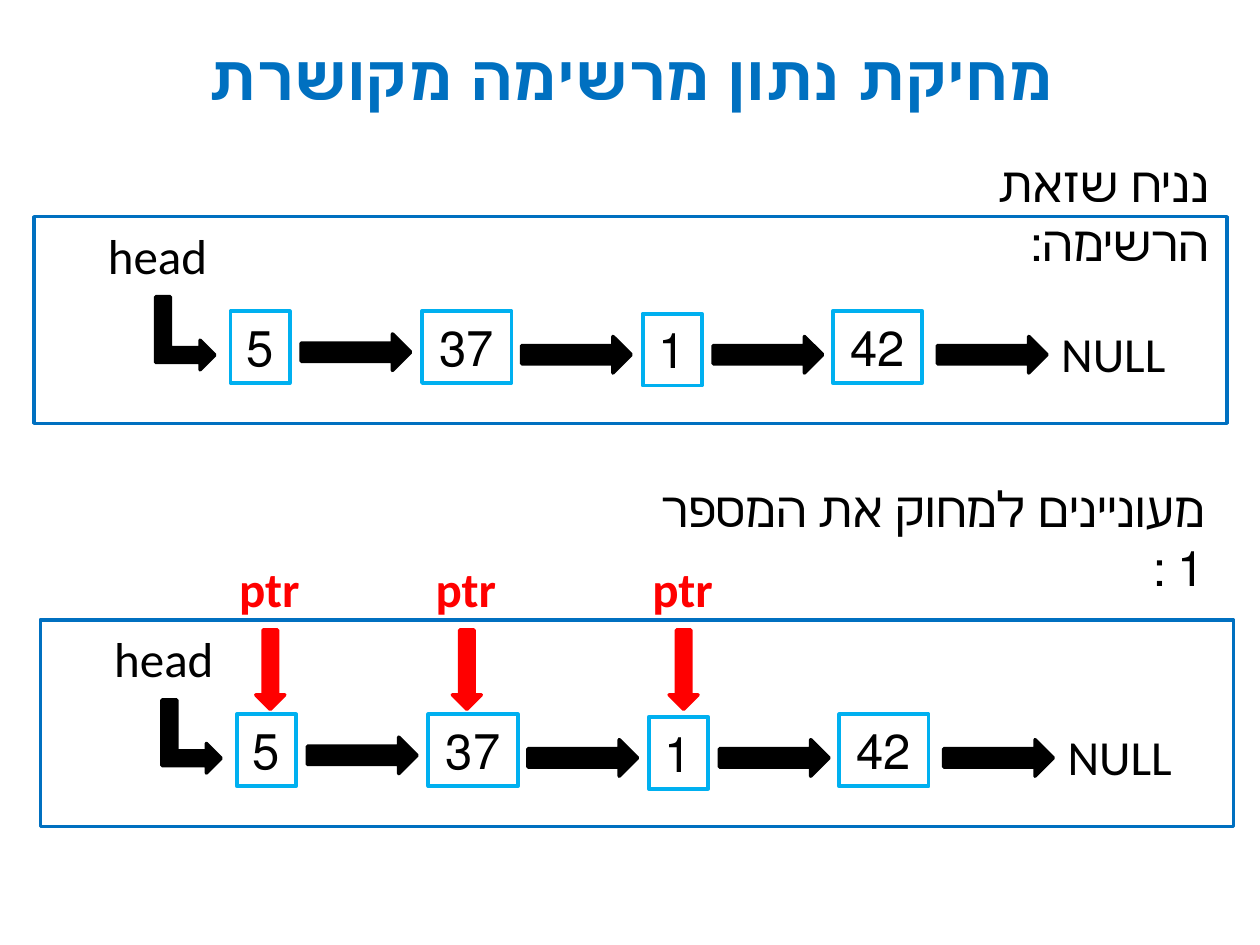
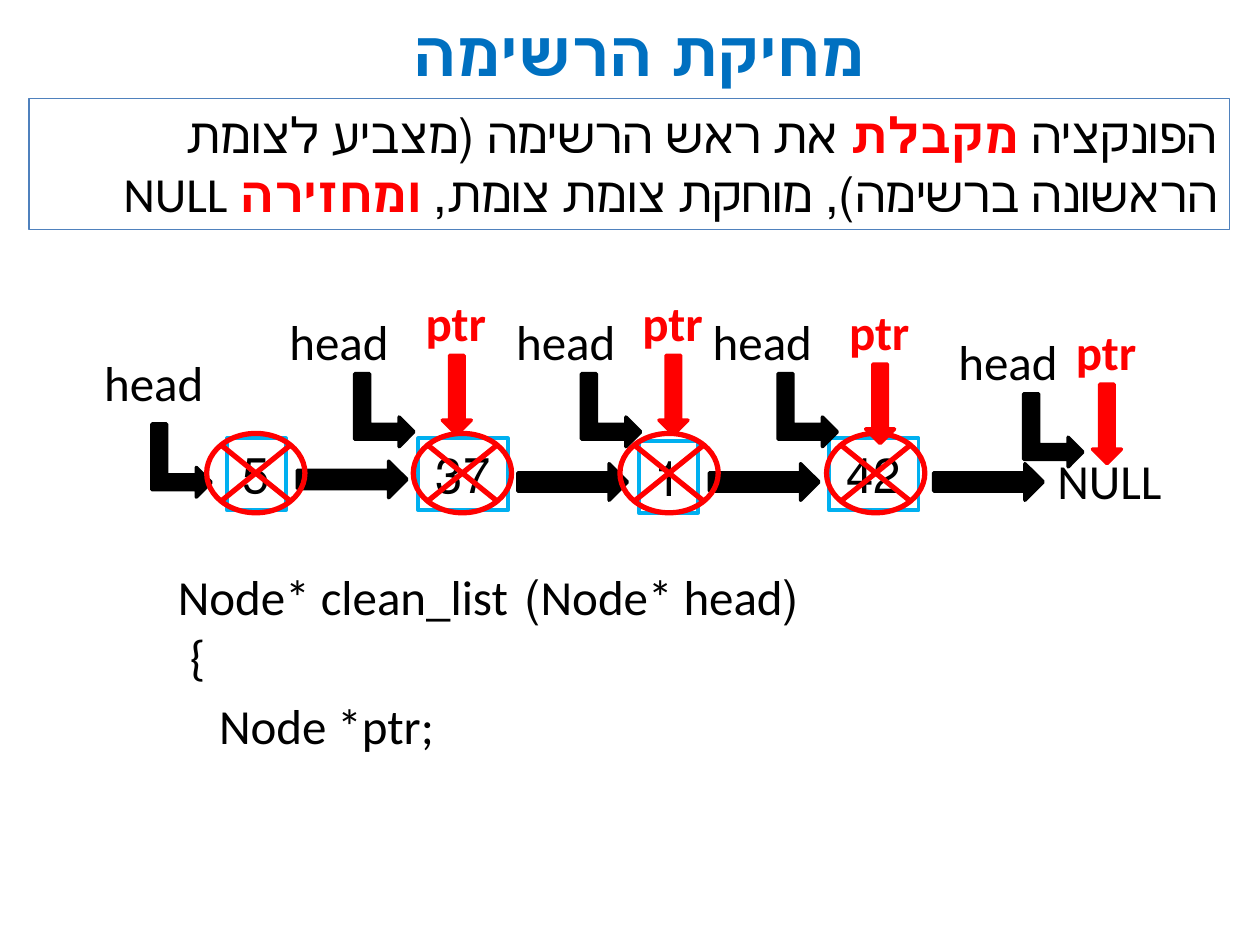
import pptx
import pptx.util
import pptx.dml.color
import pptx.enum.shapes
import pptx.enum.text
import pptx.oxml.ns
import lxml.etree
from dataclasses import dataclass

Inches = pptx.util.Inches
Pt = pptx.util.Pt
MSO = pptx.enum.shapes.MSO_SHAPE
ALIGN = pptx.enum.text.PP_ALIGN


@dataclass(frozen=True)
class Theme:
    """Colours, fonts, type sizes and line widths shared by the slides."""
    blue: str = "0070C0"
    sky: str = "00B0F0"
    steel: str = "4F81BD"
    red: str = "FF0000"
    black: str = "000000"
    title_font: str = "Arial"
    body_font: str = "Calibri"
    title_size: int = 36
    body_size: int = 28
    arrow_line: float = 2
    node_line: float = 2.25
    cross_line: float = 3


T = Theme()
ROW_H = 0.57  # height of one line of body text
# value, left, top, width of each list node
NODES = [("5", 1.83, 2.47, 0.47), ("37", 3.35, 2.47, 0.71),
         ("1", 5.1, 2.49, 0.47), ("42", 6.61, 2.47, 0.71)]
LINKS = [(2.39, 2.65), (4.14, 2.67), (5.66, 2.67), (7.44, 2.67)]


def rgb(code):
    """Turn a hex code into a colour."""
    return pptx.dml.color.RGBColor.from_string(code)


def box(left, top, width, height):
    """Convert a frame in inches to lengths."""
    return [Inches(round(v, 2)) for v in (left, top, width, height)]


def set_line(sp, color, width):
    """Give a shape a solid outline with round joins."""
    sp.line.color.rgb = rgb(color)
    sp.line.width = Pt(width)
    ln = sp._element.spPr.find(pptx.oxml.ns.qn("a:ln"))
    lxml.etree.SubElement(ln, pptx.oxml.ns.qn("a:round"))


def set_font(font, color, size=T.body_size, name=T.body_font, bold=False):
    """Set the face, size, weight and colour of a font."""
    font.name, font.size, font.bold = name, Pt(size), bold
    font.color.rgb = rgb(color)


def set_direction(p, align, rtl=True):
    """Align a paragraph and set its reading direction."""
    p.alignment = align
    if rtl:
        p._p.get_or_add_pPr().set("rtl", "1")


def add_title(s, text, top):
    """Place and format the slide title."""
    title = s.shapes.title
    title.left, title.top, title.width, title.height = box(0.91, top, 8.19, 0.81)
    title.text_frame.vertical_anchor = pptx.enum.text.MSO_ANCHOR.MIDDLE
    p = title.text_frame.paragraphs[0]
    p.text = text
    set_direction(p, ALIGN.CENTER)
    set_font(p.font, T.blue, T.title_size, T.title_font, True)


def add_text(s, text, left, top, width, height=ROW_H, align=ALIGN.CENTER,
             rtl=True, wrap=True, color=T.black, bold=False):
    """Add a one-paragraph text box and return it."""
    sp = s.shapes.add_textbox(*box(left, top, width, height))
    tf = sp.text_frame
    tf.word_wrap = wrap
    tf.auto_size = pptx.enum.text.MSO_AUTO_SIZE.SHAPE_TO_FIT_TEXT
    p = tf.paragraphs[0]
    p.text = text
    set_direction(p, align, rtl)
    set_font(p.font, color, bold=bold)
    return sp


def add_figure(s, kind, left, top, width, height, line, weight, fill=None,
               rotation=0):
    """Add a preset shape without text, filled or only outlined."""
    sp = s.shapes.add_shape(kind, *box(left, top, width, height))
    sp.shadow.inherit = False
    sp.rotation = rotation
    if fill:
        sp.fill.solid()
        sp.fill.fore_color.rgb = rgb(fill)
    else:
        sp.fill.background()
    set_line(sp, line, weight)


def add_head(s, left, top, dx=0.73, dy=0.6):
    """Add a head label and its bent arrow."""
    add_text(s, "head", left, top, 1.32)
    add_figure(s, MSO.BENT_UP_ARROW, left + dx, top + dy, 0.58, 0.47,
               T.black, T.arrow_line, T.black, 90)


def add_ptr(s, left, top, drop):
    """Add a ptr label and the red arrow below it."""
    add_text(s, "ptr", left, top, 0.7, align=ALIGN.LEFT, rtl=False,
             color=T.red, bold=True)
    add_figure(s, MSO.RIGHT_ARROW, left + 0.03, top + drop, 0.63, 0.23,
               T.red, T.arrow_line, T.red, 90)


def add_chain(s, dx, dy):
    """Draw the linked list from head to NULL, shifted by dx and dy."""
    for value, left, top, width in NODES:
        sp = add_text(s, value, left + dx, top + dy, width)
        set_line(sp, T.sky, T.node_line)
    for left, top in LINKS:
        add_figure(s, MSO.RIGHT_ARROW, left + dx, top + dy, 0.87, 0.29,
                   T.black, T.arrow_line, T.black)
    add_text(s, "NULL", 8.29 + dx, 2.52 + dy, 1.09)
    add_head(s, 0.59 + dx, 1.74 + dy, 0.59, 0.67)


def add_framed_chain(s, dx, dy):
    """Draw the linked list inside a blue frame."""
    add_chain(s, dx, dy)
    add_figure(s, MSO.RECTANGLE, 0.27 + dx, 1.72 + dy, 9.47, 1.64,
               T.blue, T.arrow_line)


def add_summary(s):
    """Add the outlined description with its emphasised words."""
    sp = add_text(s, "", 0.23, 0.78, 9.53, 1.04, ALIGN.RIGHT)
    set_line(sp, T.steel, 0.75)
    p = sp.text_frame.paragraphs[0]
    parts = [("הפונקציה ", False), ("מקבלת", True),
             (" את ראש הרשימה (מצביע לצומת הראשונה ברשימה), "
              "מוחקת צומת צומת, ", False),
             ("ומחזירה ", True), ("NULL", False)]
    for text, strong in parts:
        r = p.add_run()
        r.text = text
        set_font(r.font, T.red if strong else T.black, bold=strong)


def build_delete_item(s):
    """Build the slide on deleting one item."""
    add_title(s, "מחיקת נתון מרשימה מקושרת", 0.19)
    add_framed_chain(s, 0, 0)
    add_text(s, "נניח שזאת הרשימה:", 6.38, 1.17, 3.31,
             align=ALIGN.RIGHT, wrap=False)
    add_text(s, "מעוניינים למחוק את המספר 1 :", 4.69, 3.75, 4.97,
             align=ALIGN.RIGHT, wrap=False)
    add_framed_chain(s, 0.05, 3.2)
    for left in (1.8, 3.36, 5.08):
        add_ptr(s, left, 4.38, 0.82)


def build_delete_list(s):
    """Build the slide on deleting the whole list."""
    add_title(s, "מחיקת הרשימה ", 0)
    add_chain(s, -0.03, 1.01)
    add_summary(s)
    for left, top in ((3.28, 2.27), (5, 2.27), (6.64, 2.34), (8.44, 2.5)):
        add_ptr(s, left, top, 0.75)
    for left, top in ((2.03, 2.42), (3.83, 2.42), (5.39, 2.42), (7.34, 2.58)):
        add_head(s, left, top)
    for i in range(len(NODES)):
        add_figure(s, MSO.FLOWCHART_SUMMING_JUNCTION, 1.64 + 1.64 * i, 3.44,
                   0.78, 0.63, T.red, T.cross_line)
    add_text(s, "Node* clean_list", 1.28, 4.45, 2.85,
             align=ALIGN.RIGHT, wrap=False)
    add_text(s, "(Node* head)", 4.06, 4.45, 2.38,
             align=ALIGN.RIGHT, wrap=False)
    add_text(s, "{", 1.41, 4.92, 0.47, align=ALIGN.LEFT, rtl=False)
    add_text(s, "Node *ptr;", 1.64, 5.47, 3.13, align=ALIGN.LEFT, rtl=False)


def main():
    """Build and save the presentation."""
    prs = pptx.Presentation()
    prs.slide_width, prs.slide_height = Inches(10), Inches(7.5)
    title_only = prs.slide_layouts[5]
    for build in (build_delete_item, build_delete_list):
        build(prs.slides.add_slide(title_only))
    prs.save("out.pptx")


main()
